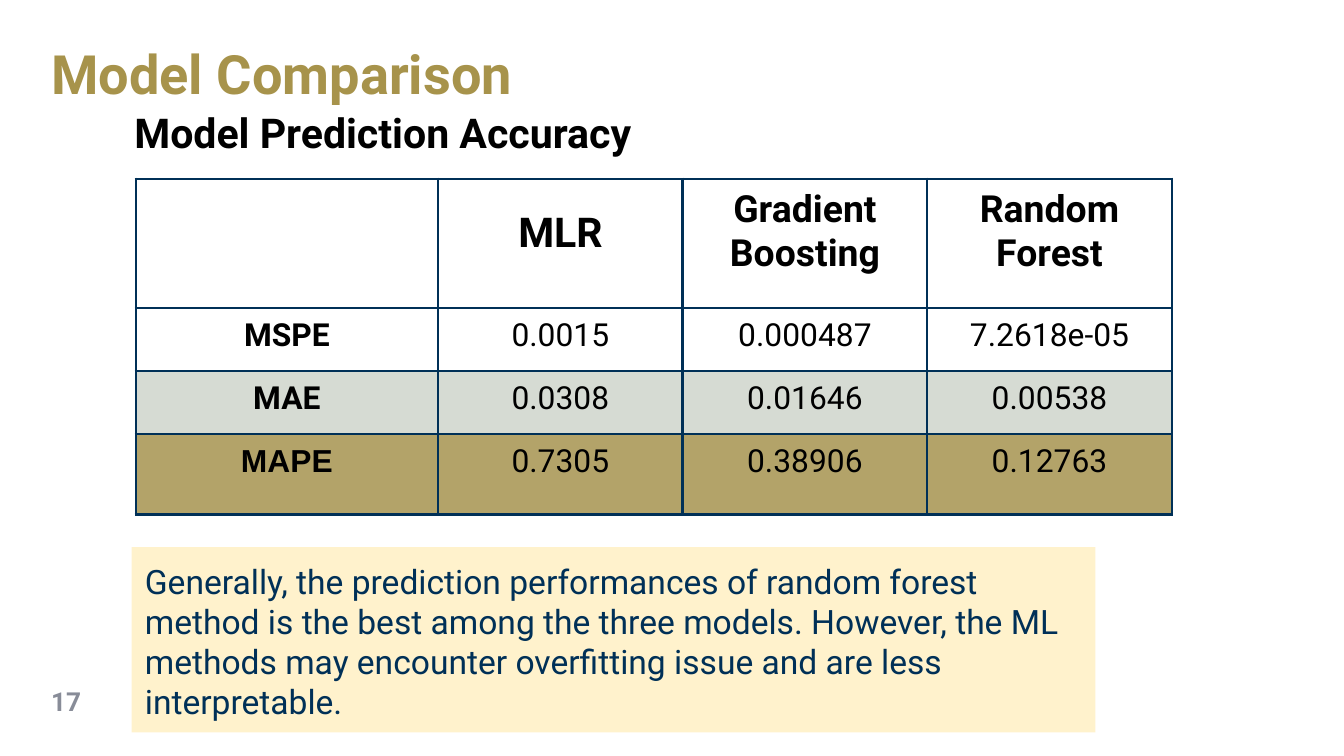
import pptx
import pptx.util
import pptx.dml.color
import pptx.enum.shapes
import pptx.enum.text
import pptx.oxml
import pptx.oxml.ns

Inches = pptx.util.Inches
Align = pptx.enum.text.PP_ALIGN
Anchor = pptx.enum.text.MSO_ANCHOR
NAVY = "003057"
BLACK = "000000"

HEADERS = ["", "MLR", "Gradient Boosting", "Random Forest"]
ACCURACY = [
    ["MSPE", "0.0015", "0.000487", "7.2618e-05"],
    ["MAE", "0.0308", "0.01646", "0.00538"],
    ["MAPE", "0.7305", "0.38906", "0.12763"],
]
ROW_FILLS = [None, None, "D6DBD3", "B3A369"]
COLUMN_WIDTHS = [2.25, 1.82, 1.82, 1.82]
ROW_HEIGHTS = [0.96, 0.47, 0.47, 0.6]


def rgb(value):
    return pptx.dml.color.RGBColor.from_string(value)


def write(frame, text, size, color, bold=False, font="Roboto", align=Align.LEFT):
    paragraph = frame.paragraphs[0]
    paragraph.text = text
    paragraph.alignment = align
    paragraph.font.name = font
    paragraph.font.size = pptx.util.Pt(size)
    paragraph.font.bold = bold
    paragraph.font.color.rgb = rgb(color)
    return paragraph


def set_margins(holder, horizontal, vertical):
    holder.margin_left = holder.margin_right = Inches(horizontal)
    holder.margin_top = holder.margin_bottom = Inches(vertical)


def add_title(slide, text):
    title = slide.shapes.title
    title.left, title.top = Inches(0.31), Inches(0.16)
    title.width, title.height = Inches(9.38), Inches(0.83)
    frame = title.text_frame
    frame.vertical_anchor = Anchor.MIDDLE
    set_margins(frame, 0.07, 0.04)
    write(frame, text, 29, "A7934B", bold=True).line_spacing = 0.9


def add_label(slide, text, box, size, color, anchor=Anchor.TOP):
    label = slide.shapes.add_textbox(*map(Inches, box))
    frame = label.text_frame
    frame.word_wrap = True
    frame.vertical_anchor = anchor
    set_margins(frame, 0.07, 0.04)
    write(frame, text, size, color, bold=True)


def add_borders(cell, color, width):
    properties = cell._tc.get_or_add_tcPr()
    for index, side in enumerate(("lnL", "lnR", "lnT", "lnB")):
        border = pptx.oxml.parse_xml(
            f'<a:{side} {pptx.oxml.ns.nsdecls("a")} w="{pptx.util.Pt(width)}">'
            f'<a:solidFill><a:srgbClr val="{color}"/></a:solidFill></a:{side}>'
        )
        properties.insert(index, border)


def format_cell(cell, text, row, column):
    set_margins(cell, 0.07, 0.07)
    if ROW_FILLS[row]:
        cell.fill.solid()
        cell.fill.fore_color.rgb = rgb(ROW_FILLS[row])
    else:
        cell.fill.background()
    add_borders(cell, NAVY, 1.5)
    size = 17 if row else 20
    if text == "MLR":
        size = 22
        cell.margin_top = Inches(0.23)
    font = "Arial" if text == "MAPE" else "Roboto"
    bold = row == 0 or column == 0
    write(cell.text_frame, text, size, BLACK, bold, font, Align.CENTER)


def add_accuracy_table(slide):
    rows = [HEADERS] + ACCURACY
    table = slide.shapes.add_table(
        len(rows), len(HEADERS), Inches(1.01), Inches(1.33),
        Inches(sum(COLUMN_WIDTHS)), Inches(sum(ROW_HEIGHTS)),
    ).table
    table.first_row = table.horz_banding = False
    for column, width in zip(table.columns, COLUMN_WIDTHS):
        column.width = Inches(width)
    for row, height in zip(table.rows, ROW_HEIGHTS):
        row.height = Inches(height)
    for r, values in enumerate(rows):
        for c, text in enumerate(values):
            format_cell(table.cell(r, c), text, r, c)


def add_conclusion(slide, text):
    conclusion = slide.shapes.add_shape(
        pptx.enum.shapes.MSO_SHAPE.RECTANGLE,
        Inches(0.98), Inches(4.07), Inches(7.17), Inches(1.38),
    )
    conclusion.shadow.inherit = False
    conclusion.fill.solid()
    conclusion.fill.fore_color.rgb = rgb("FFF2CC")
    conclusion.line.fill.background()
    frame = conclusion.text_frame
    frame.word_wrap = True
    frame.vertical_anchor = Anchor.TOP
    set_margins(frame, 0.1, 0.1)
    write(frame, text, 18, NAVY)


def main():
    deck = pptx.Presentation()
    deck.slide_width = Inches(10)
    deck.slide_height = Inches(10 * 9 / 16)
    slide = deck.slides.add_slide(deck.slide_layouts.get_by_name("Title Only"))
    add_title(slide, "Model Comparison")
    add_label(slide, "Model Prediction Accuracy", (0.93, 0.76, 4.15, 0.45), 22, BLACK)
    add_accuracy_table(slide)
    add_conclusion(
        slide,
        "Generally, the prediction performances of random forest method is the best "
        "among the three models. However, the ML methods may encounter overfitting "
        "issue and are less interpretable.",
    )
    add_label(slide, "17", (0.31, 5.07, 0.75, 0.3), 14, "888C98", Anchor.MIDDLE)
    deck.save("out.pptx")


if __name__ == "__main__":
    main()
